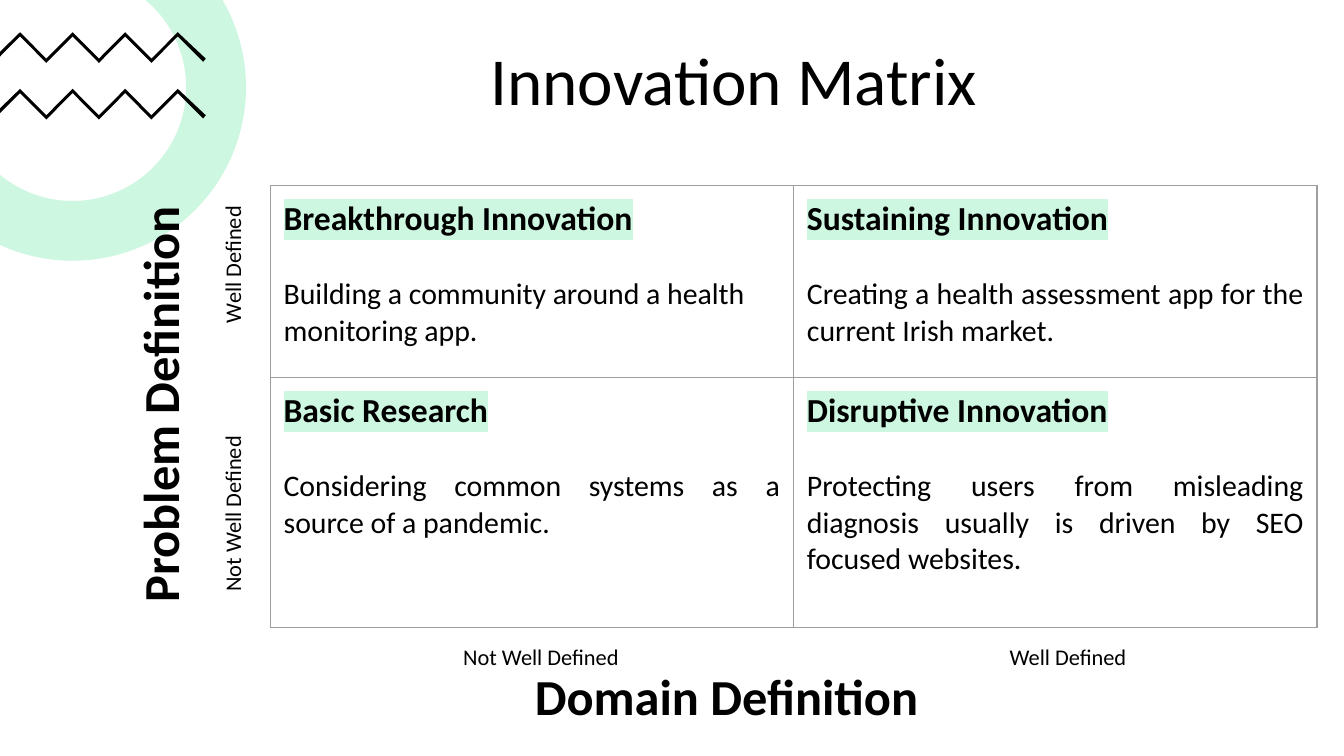
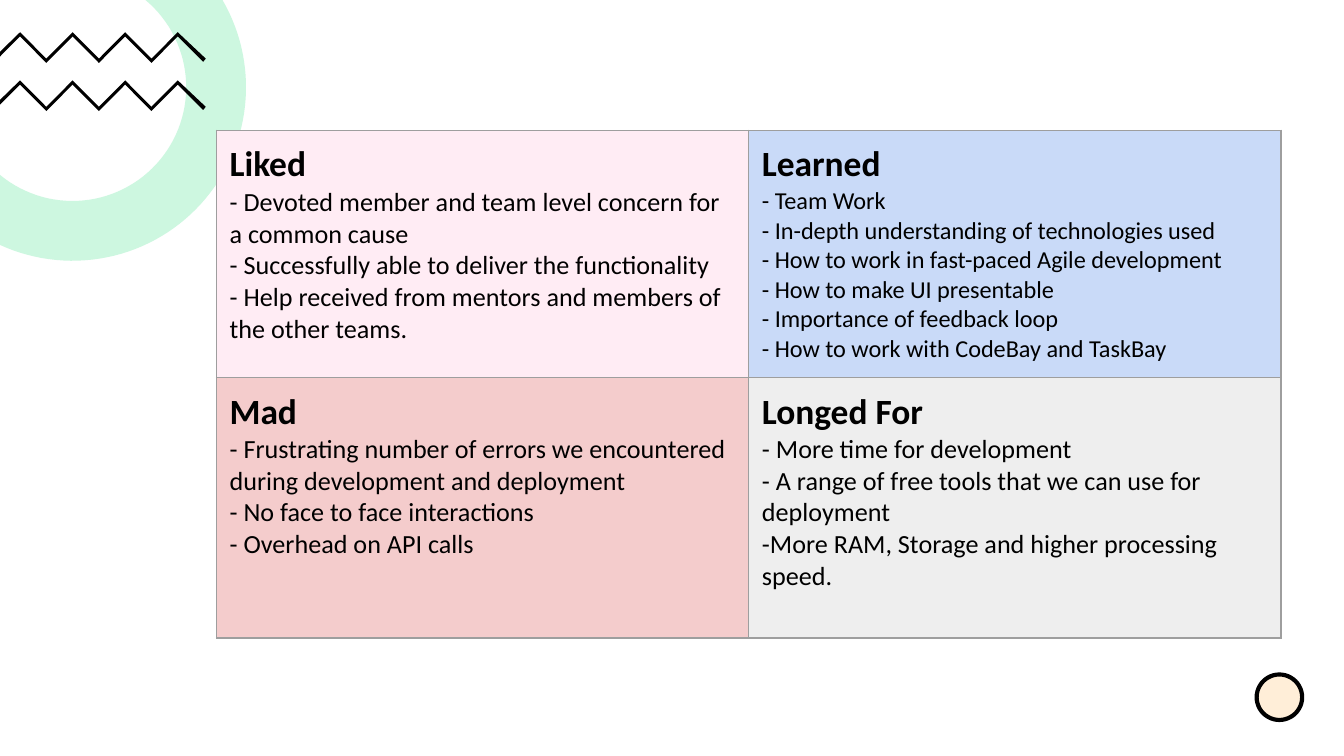
import math

from lxml import etree
from pptx import Presentation
from pptx import util as u
from pptx.dml import color
from pptx.enum import shapes, text
from pptx.oxml import ns

FONT = "Calibri"
BLACK, MINT, GREY, ORANGE = "000000", "CDF7E0", "9E9E9E", "FFAB40"
PINK, BLUE, RED, PALE = "FFECF4", "C9DAF8", "F4CCCC", "EEEEEE"
INSET = u.Cm(0.25)
LABEL_WIDTH, LABEL_HEIGHT = 9.63, 0.84
LEFT, CENTER, JUSTIFY = text.PP_ALIGN.LEFT, text.PP_ALIGN.CENTER, text.PP_ALIGN.JUSTIFY

MATRIX = [
    [("Breakthrough Innovation", LEFT,
      "Building a community around a health monitoring app."),
     ("Sustaining Innovation", JUSTIFY,
      "Creating a health assessment app for the current Irish market.")],
    [("Basic Research", JUSTIFY,
      "Considering common systems as a source of a pandemic."),
     ("Disruptive Innovation", JUSTIFY,
      "Protecting users from misleading diagnosis usually is driven by SEO focused websites.")],
]

RETROSPECTIVE = [
    [("Liked", PINK, 14,
      ["- Devoted member and team level concern for a common cause",
       "- Successfully able to deliver the functionality",
       "- Help received from mentors and members of the other teams."]),
     ("Learned", BLUE, 13,
      ["- Team Work",
       "- In-depth understanding of technologies used",
       "- How to work in fast-paced Agile development",
       "- How to make UI presentable",
       "- Importance of feedback loop",
       "- How to work with CodeBay and TaskBay"])],
    [("Mad", RED, 14,
      ["- Frustrating number of errors we encountered during development and deployment",
       "- No face to face interactions",
       "- Overhead on API calls"]),
     ("Longed For", PALE, 14,
      ["- More time for development",
       "- A range of free tools that we can use for deployment",
       "-More RAM, Storage and higher processing speed."])],
]


def rgb(code):
    return color.RGBColor.from_string(code)


def add_element(parent, tag, **attributes):
    return etree.SubElement(parent, ns.qn(tag), attributes)


def write(frame, words, size, bold=False, align=LEFT, highlight=None, before=0):
    """Fill the frame's empty first paragraph, or append a new one."""
    para = frame.paragraphs[0]
    if para.runs:
        para = frame.add_paragraph()
    para.alignment = align
    para.space_before = u.Pt(before)
    span = para.add_run()
    span.text = words
    span.font.size = u.Pt(size)
    span.font.bold = bold
    span.font.color.rgb = rgb(BLACK)
    if highlight:
        mark = add_element(span.font._element, "a:highlight")
        add_element(mark, "a:srgbClr", val=highlight)
    span.font.name = FONT


def prepare_frame(frame):
    frame.word_wrap = True
    frame.auto_size = text.MSO_AUTO_SIZE.NONE
    frame.vertical_anchor = text.MSO_ANCHOR.TOP
    frame.margin_left = frame.margin_right = INSET
    frame.margin_top = frame.margin_bottom = INSET


def set_title(page, words):
    title = page.shapes.title
    title.left, title.top = u.Cm(9.02), u.Cm(0.48)
    title.width, title.height = u.Cm(12.45), u.Cm(LABEL_HEIGHT)
    prepare_frame(title.text_frame)
    write(title.text_frame, words, 36)


def add_label(page, left, top, words, size=12, rotation=0, **style):
    box = page.shapes.add_textbox(u.Cm(left), u.Cm(top),
                                  u.Cm(LABEL_WIDTH), u.Cm(LABEL_HEIGHT))
    box.rotation = rotation
    prepare_frame(box.text_frame)
    write(box.text_frame, words, size, **style)


def add_outline(page, points, fill):
    """Draw a filled polygon through points given in centimetres."""
    corners = [(u.Cm(x), u.Cm(y)) for x, y in points]
    builder = page.shapes.build_freeform(*corners[0])
    builder.add_line_segments(corners[1:], close=True)
    outline = builder.convert_to_shape()
    outline.shadow.inherit = False
    outline.fill.solid()
    outline.fill.fore_color.rgb = rgb(fill)
    outline.line.fill.background()


def arc_inside_page(center_x, center_y, radius, steps=60):
    """Points from the page's top edge clockwise to its left edge."""
    start = -math.asin(center_y / radius)
    end = math.acos(-center_x / radius)
    angles = [start + (end - start) * i / steps for i in range(steps + 1)]
    return [(center_x + radius * math.cos(a), center_y + radius * math.sin(a))
            for a in angles]


def add_ring(page):
    outer = arc_inside_page(1.37, 1.65, 3.28)
    inner = arc_inside_page(1.37, 1.65, 2.15)
    add_outline(page, outer + inner[::-1], MINT)


def add_zigzag(page, top):
    height, thickness = 0.5, 0.08
    turns = [(0.38 + 2.98 * i / 6, top + height * (i % 2)) for i in range(7)]
    lower = [(x, y + thickness) for x, y in reversed(turns)]
    tip = [(3.89, top + height), (3.84, top + 0.56)]
    edge = [(0, top + 0.46), (0, top + 0.37)]
    add_outline(page, turns + tip + lower + edge, BLACK)


def add_corner(page, second_zigzag):
    add_ring(page)
    for top in (0.61, second_zigzag):
        add_zigzag(page, top)


def add_circle(page):
    circle = page.shapes.add_shape(shapes.MSO_SHAPE.OVAL, u.Cm(23.75), u.Cm(12.75),
                                   u.Cm(0.86), u.Cm(0.86))
    circle.shadow.inherit = False
    circle.fill.solid()
    circle.fill.fore_color.rgb = rgb(ORANGE)
    fill = circle._element.spPr.find(ns.qn("a:solidFill"))
    add_element(fill[0], "a:alpha", val="20000")
    circle.line.color.rgb = rgb(BLACK)
    circle.line.width = u.Pt(2.25)


def set_borders(cell):
    properties = cell._tc.get_or_add_tcPr()
    for index, side in enumerate(("a:lnL", "a:lnR", "a:lnT", "a:lnB")):
        line = add_element(properties, side, w=str(u.Pt(0.75)))
        add_element(add_element(line, "a:solidFill"), "a:srgbClr", val=GREY)
        properties.insert(index, line)


def add_grid(page, left, top, width, heights):
    """Add a bordered two-column table and return it."""
    frame = page.shapes.add_table(len(heights), 2, u.Cm(left), u.Cm(top),
                                  u.Cm(width), u.Cm(sum(heights)))
    table = frame.table
    table.first_row = table.horz_banding = False
    for row, height in zip(table.rows, heights):
        row.height = u.Cm(height)
    for cell in table.iter_cells():
        cell.margin_left = cell.margin_right = INSET
        cell.margin_top = cell.margin_bottom = INSET
        cell.fill.background()
        set_borders(cell)
    return table


def build_matrix(deck):
    page = deck.slides.add_slide(deck.slide_layouts[5])
    table = add_grid(page, 5.11, 3.51, 19.78, [3.63, 4.72])
    for r, row in enumerate(MATRIX):
        for c, (heading, align, body) in enumerate(row):
            frame = table.cell(r, c).text_frame
            write(frame, heading, 18, bold=True, align=align, highlight=MINT)
            write(frame, body, 16, align=align, before=19.5)
    add_corner(page, 1.68)
    set_title(page, "Innovation Matrix")
    add_label(page, -2.21, 6.4, "Problem Definition", size=27, rotation=270, bold=True)
    add_label(page, 9.86, 12.32, "Domain Definition", size=27, bold=True)
    add_label(page, -0.51, 1.12, "Well Defined", rotation=270)
    add_label(page, -0.51, 6.2, "Not Well Defined", rotation=270)
    add_label(page, 5.41, 11.91, "Not Well Defined", align=CENTER)
    add_label(page, 15.37, 11.91, "Well Defined", align=CENTER)


def build_retrospective(deck):
    page = deck.slides.add_slide(deck.slide_layouts[6])
    add_corner(page, 1.52)
    add_circle(page)
    table = add_grid(page, 4.09, 2.46, 20.12, [4.67, 4.93])
    for r, row in enumerate(RETROSPECTIVE):
        for c, (heading, fill, size, notes) in enumerate(row):
            cell = table.cell(r, c)
            cell.fill.solid()
            cell.fill.fore_color.rgb = rgb(fill)
            write(cell.text_frame, heading, 19, bold=True)
            for note in notes:
                write(cell.text_frame, note, size)


def main():
    deck = Presentation()
    deck.slide_width, deck.slide_height = u.Cm(25.4), u.Cm(14.29)
    build_matrix(deck)
    build_retrospective(deck)
    deck.save("out.pptx")


if __name__ == "__main__":
    main()
